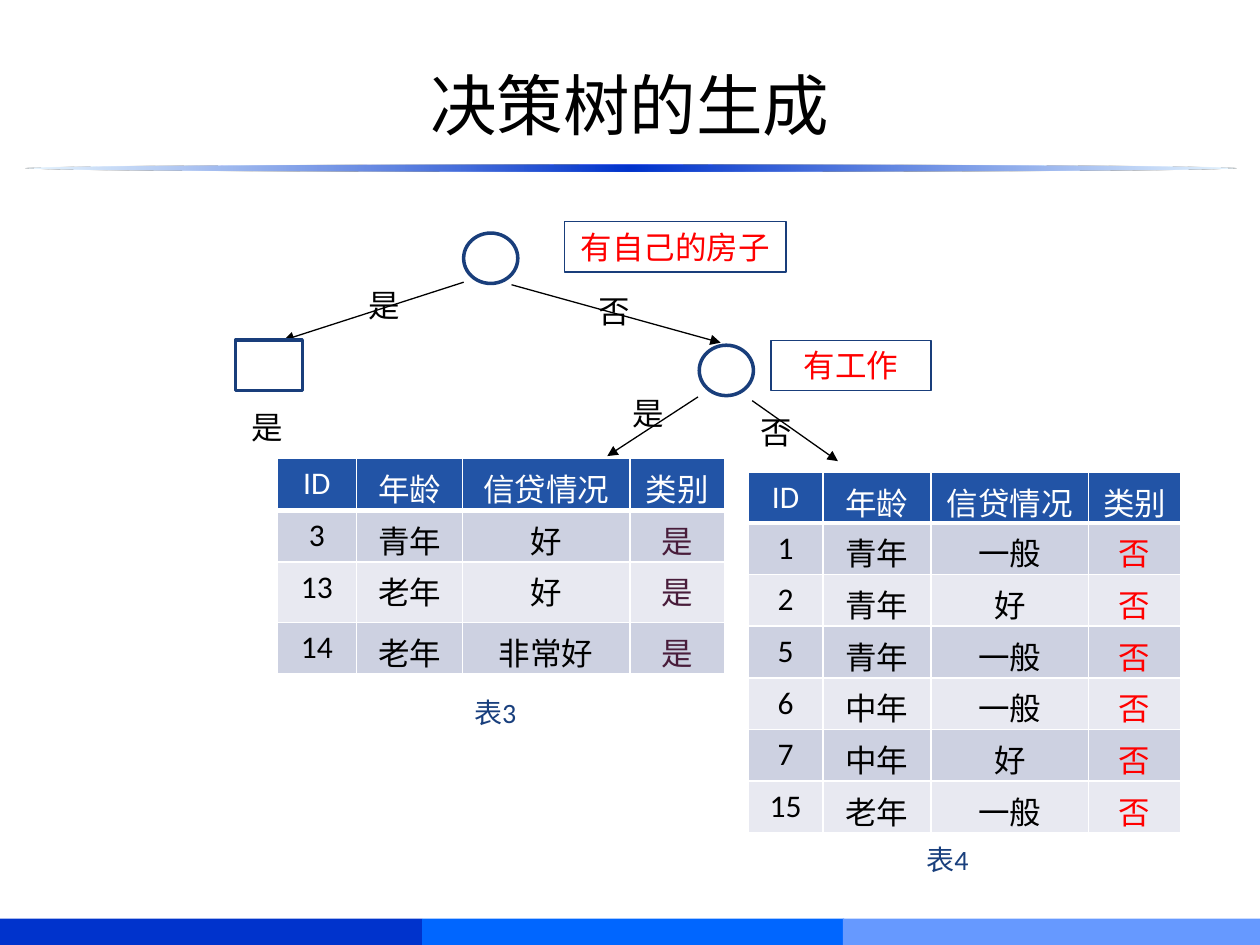
"""Build the slide on growing a decision tree, with its two leaf tables."""
import copy

import pptx
import pptx.util
import pptx.dml.color
import pptx.enum.shapes
import pptx.enum.text
import pptx.oxml.ns
import pptx.oxml.xmlchemy
from lxml import etree

Inches = pptx.util.Inches
Pt = pptx.util.Pt
SHAPE = pptx.enum.shapes.MSO_SHAPE
ANCHOR = pptx.enum.text.MSO_ANCHOR
ALIGN = pptx.enum.text.PP_ALIGN
qn = pptx.oxml.ns.qn

COLORS = {
    "black": "000000", "white": "FFFFFF", "red": "FF0000", "plum": "481C3A",
    "outline": "193E7B", "caption": "193F7D", "header": "2254A6",
    "band_dark": "CDD1E1", "band_light": "E8E9F1",
    "bar_left": "0033CC", "bar_mid": "0066FF", "bar_right": "6699FF",
    "glow": "E5F5FF",
}
TITLE = "决策树的生成"
FOOTER = [("bar_left", 0, 3.35), ("bar_mid", 3.35, 3.35), ("bar_right", 6.69, 3.31)]
NODES = [
    (SHAPE.RECTANGLE, 1.87, 2.7, 0.53, 0.4),
    (SHAPE.OVAL, 5.55, 2.74, 0.43, 0.4),
    (SHAPE.OVAL, 3.68, 1.85, 0.43, 0.4),
]
FEATURES = [("有自己的房子", 4.48, 1.76, 1.76), ("有工作", 6.12, 2.7, 1.27)]
BRANCHES = [
    (3.68, 2.24, 2.25, 2.7), (4.06, 2.26, 5.72, 2.72),
    (5.54, 3.15, 4.82, 3.62), (5.97, 3.18, 6.65, 3.66),
]
LABELS = [
    ("是", 2.83, 2.22), ("否", 4.65, 2.27), ("是", 1.9, 3.19),
    ("是", 4.92, 3.08), ("否", 5.94, 3.23),
]
CAPTIONS = [("表3", 3.38, 5.47), ("表4", 6.97, 6.64)]
HEADER = ["ID", "年龄", "信贷情况", "类别"]
TABLES = [
    {
        "at": (2.2, 3.64), "cols": [0.63, 0.84, 1.33, 0.75],
        "heights": [0.41, 0.41, 0.48, 0.41], "class_color": "plum",
        "rows": [["3", "青年", "好", "是"], ["13", "老年", "好", "是"],
                 ["14", "老年", "非常好", "是"]],
    },
    {
        "at": (5.94, 3.75), "cols": [0.59, 0.86, 1.25, 0.73],
        "heights": [0.22] + [0.41] * 6, "class_color": "red",
        "rows": [["1", "青年", "一般", "否"], ["2", "青年", "好", "否"],
                 ["5", "青年", "一般", "否"], ["6", "中年", "一般", "否"],
                 ["7", "中年", "好", "否"], ["15", "老年", "一般", "否"]],
    },
]


def rgb(name):
    return pptx.dml.color.RGBColor.from_string(COLORS[name])


def write(tf, text, size, color, align=ALIGN.CENTER, font="Calibri"):
    p = tf.paragraphs[0]
    p.text = text
    p.alignment = align
    p.font.size = Pt(size)
    p.font.name = font
    p.font.color.rgb = rgb(color)


def add_shape(slide, kind, x, y, w, h, fill=None, line=None, width=0.75):
    sp = slide.shapes.add_shape(kind, Inches(x), Inches(y), Inches(w), Inches(h))
    sp.shadow.inherit = False
    if fill:
        sp.fill.solid()
        sp.fill.fore_color.rgb = rgb(fill)
    else:
        sp.fill.background()
    if line:
        sp.line.color.rgb = rgb(line)
        sp.line.width = Pt(width)
    else:
        sp.line.fill.background()
    return sp


def add_text(slide, text, x, y, w, h, size, color, **style):
    tf = slide.shapes.add_textbox(Inches(x), Inches(y), Inches(w), Inches(h)).text_frame
    tf.word_wrap = True
    write(tf, text, size, color, **style)
    return tf


def add_rule(slide):
    sp = add_shape(slide, SHAPE.OVAL, 0.2, 1.31, 9.61, 0.05)
    sp.fill.gradient()
    sp.fill.gradient_angle = 0
    first, last = sp.fill.gradient_stops
    for stop, position in ((first, 0), (last, 1)):
        stop.color.rgb = rgb("glow")
        stop.position = position
    stops = sp.fill._fill._gradFill.find(qn("a:gsLst"))
    middle = copy.deepcopy(stops[0])
    middle.set("pos", "50000")
    middle[0].set("val", COLORS["bar_left"])
    etree.SubElement(stops[0][0], qn("a:alpha"), val="90000")
    stops.insert(1, middle)


def add_arrow(slide, x1, y1, x2, y2):
    c = slide.shapes.add_connector(
        pptx.enum.shapes.MSO_CONNECTOR.STRAIGHT,
        Inches(x1), Inches(y1), Inches(x2), Inches(y2))
    c.line.color.rgb = rgb("black")
    c.line.width = Pt(0.75)
    etree.SubElement(c.line._get_or_add_ln(), qn("a:tailEnd"), type="triangle")
    etree.SubElement(c._element.spPr, qn("a:effectLst"))


def add_borders(cell, bottom):
    tc_pr = cell._tc.get_or_add_tcPr()
    for i, (side, width) in enumerate((("L", 1), ("R", 1), ("T", 1), ("B", bottom))):
        ln = etree.Element(qn("a:ln" + side), w=str(Pt(width)))
        fill = etree.SubElement(ln, qn("a:solidFill"))
        etree.SubElement(fill, qn("a:srgbClr"), val=COLORS["white"])
        tc_pr.insert(i, ln)


def add_table(slide, data):
    rows = [HEADER] + data["rows"]
    x, y = data["at"]
    table = slide.shapes.add_table(
        len(rows), len(HEADER), Inches(x), Inches(y),
        Inches(sum(data["cols"])), Inches(sum(data["heights"]))).table
    for column, width in zip(table.columns, data["cols"]):
        column.width = Inches(width)
    for i, (row, height) in enumerate(zip(rows, data["heights"])):
        table.rows[i].height = Inches(height)
        for j, text in enumerate(row):
            cell = table.cell(i, j)
            if i == 0:
                fill, color = "header", "white"
            else:
                fill = "band_dark" if i % 2 else "band_light"
                color = data["class_color"] if j == len(row) - 1 else "black"
            cell.fill.solid()
            cell.fill.fore_color.rgb = rgb(fill)
            write(cell.text_frame, text, 18, color)
            add_borders(cell, 1 if i else 3)


def main():
    prs = pptx.Presentation()
    prs.slide_width, prs.slide_height = Inches(10), Inches(7.5)
    slide = prs.slides.add_slide(prs.slide_layouts[6])
    for color, x, w in FOOTER:
        add_shape(slide, SHAPE.RECTANGLE, x, 7.29, w, 0.21, fill=color)
    add_rule(slide)
    tf = add_text(slide, TITLE, 0.5, 0.36, 9, 0.93, 38, "black", font="Noto Sans CJK SC")
    tf.vertical_anchor = ANCHOR.MIDDLE
    for branch in BRANCHES:
        add_arrow(slide, *branch)
    for node in NODES:
        add_shape(slide, *node, line="outline", width=2)
    for text, x, y, w in FEATURES:
        sp = add_shape(slide, SHAPE.RECTANGLE, x, y, w, 0.4, line="outline")
        sp.text_frame.vertical_anchor = ANCHOR.TOP
        write(sp.text_frame, text, 18, "red")
    for text, x, y in LABELS:
        add_text(slide, text, x, y, 0.61, 0.4, 18, "black", align=ALIGN.LEFT)
    for data in TABLES:
        add_table(slide, data)
    for text, x, y in CAPTIONS:
        add_text(slide, text, x, y, 1.1, 0.37, 16, "caption")
    prs.save("out.pptx")


if __name__ == "__main__":
    main()
